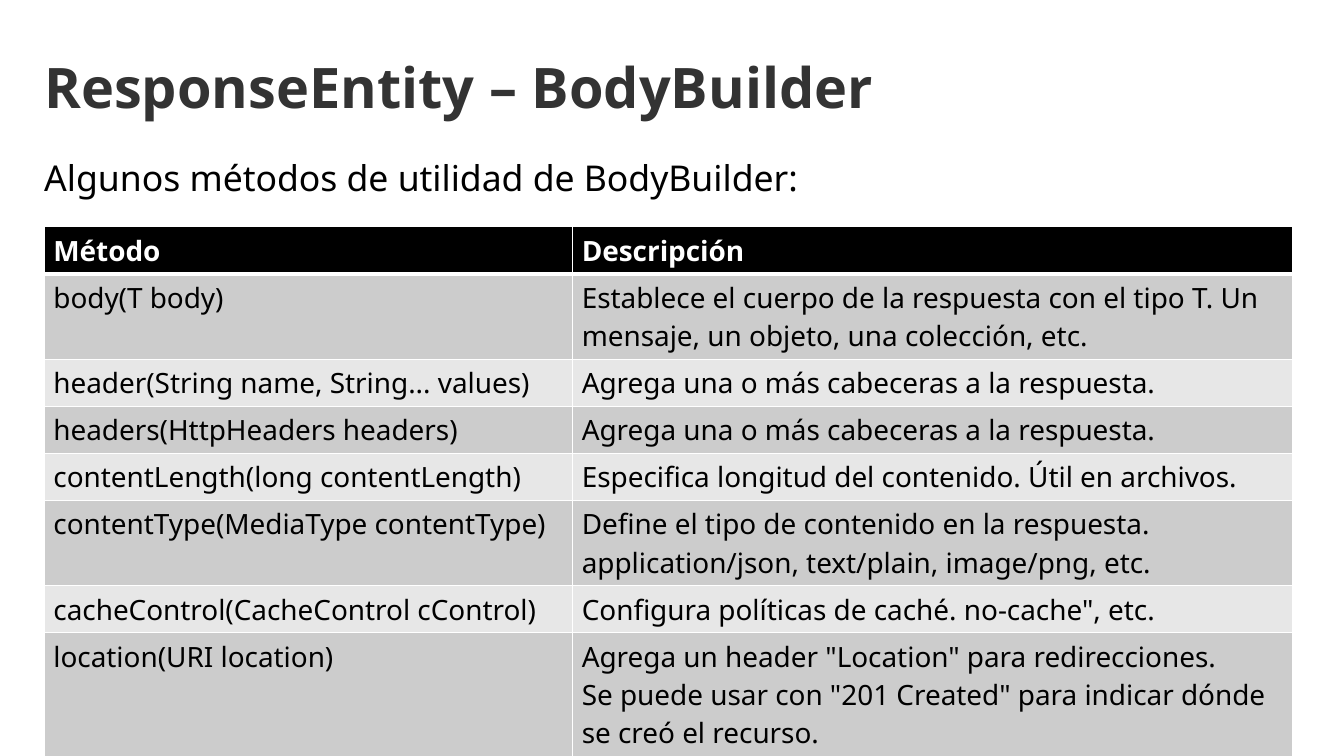
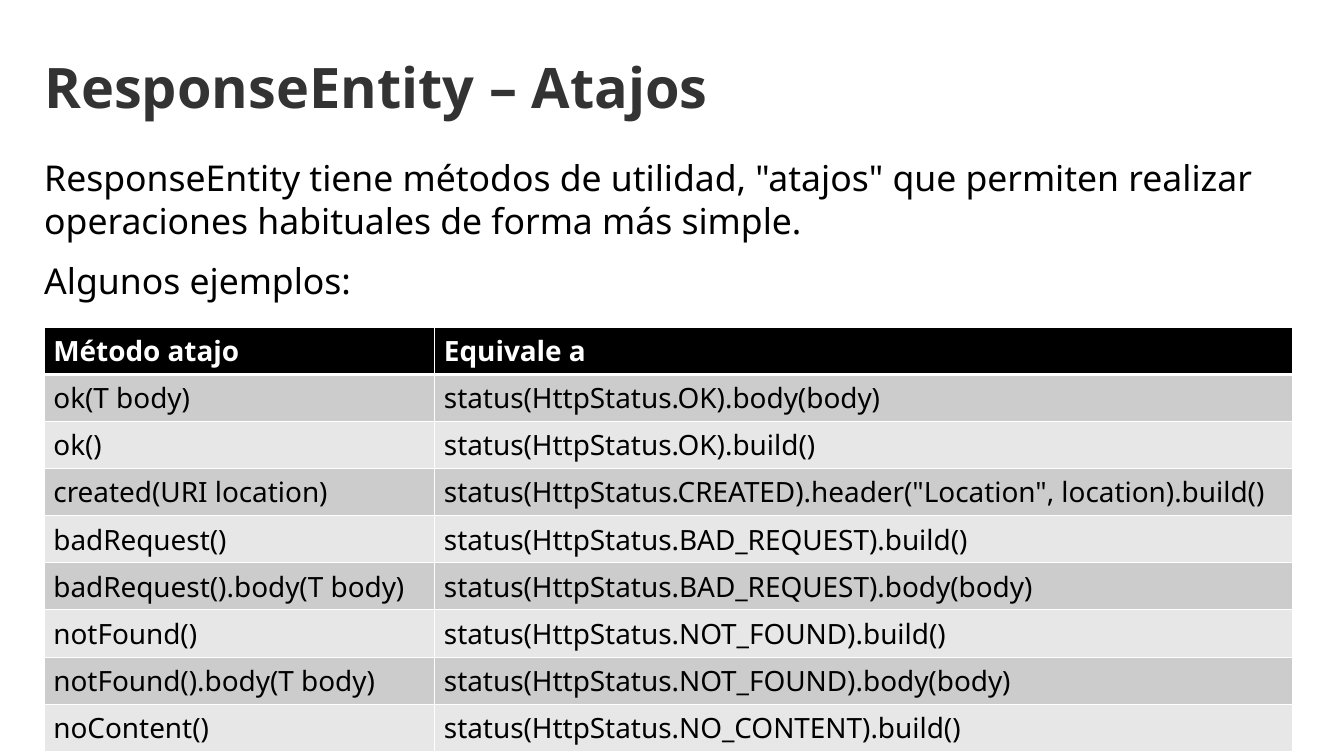
"""Builds two slides on ResponseEntity: the BodyBuilder methods and the shortcuts."""
import dataclasses

import lxml.etree
import pptx
import pptx.dml.color
import pptx.enum.text
import pptx.oxml.ns
import pptx.util

Cm = pptx.util.Cm
Pt = pptx.util.Pt


@dataclasses.dataclass(frozen=True)
class Theme:
    font: str = "Noto Sans"
    background: str = "FFFFFF"
    title_color: str = "333333"
    text_color: str = "000000"
    header_fill: str = "000000"
    header_color: str = "FFFFFF"
    bands: tuple = ("CCCCCC", "E7E7E7")
    border_color: str = "FFFFFF"
    thin_border: float = 1
    thick_border: float = 3
    title_size: float = 44
    body_size: float = 28
    table_size: float = 22
    body_space_after: float = 14.1


def rgb(color):
    return pptx.dml.color.RGBColor.from_string(color)


def write(frame, text, *, font, size, color, bold=False, space_after=0):
    for index, line in enumerate(text.split("\n")):
        para = frame.paragraphs[0] if index == 0 else frame.add_paragraph()
        para.space_after = Pt(space_after)
        span = para.add_run()
        span.text = line
        span.font.name = font
        span.font.size = Pt(size)
        span.font.bold = bold
        span.font.color.rgb = rgb(color)


def add_borders(cell, color, widths):
    properties = cell._tc.get_or_add_tcPr()
    for position, (side, width) in enumerate(widths.items()):
        line = lxml.etree.Element(pptx.oxml.ns.qn(f"a:ln{side}"), w=str(Pt(width)))
        fill = lxml.etree.SubElement(line, pptx.oxml.ns.qn("a:solidFill"))
        lxml.etree.SubElement(fill, pptx.oxml.ns.qn("a:srgbClr"), val=color)
        properties.insert(position, line)


class Deck:
    left, width = 1.23, 34.67
    title_top, title_height = 0.43, 3.91
    body_top, body_height = 4.34, 15.52
    row_padding, line_height = 0.25, 1.06

    def __init__(self, theme):
        self.theme = theme
        self.deck = pptx.Presentation()
        self.deck.slide_width = Cm(37.34)
        self.deck.slide_height = Cm(21.01)
        self.page = None

    def add_page(self, title, body):
        theme = self.theme
        self.page = self.deck.slides.add_slide(self.deck.slide_layouts[6])
        self.page.background.fill.solid()
        self.page.background.fill.fore_color.rgb = rgb(theme.background)
        self.add_text(title, self.title_top, self.title_height,
                      anchor=pptx.enum.text.MSO_ANCHOR.MIDDLE,
                      size=theme.title_size, color=theme.title_color, bold=True)
        self.add_text(body, self.body_top, self.body_height,
                      size=theme.body_size, color=theme.text_color,
                      space_after=theme.body_space_after)

    def add_text(self, text, top, height, anchor=pptx.enum.text.MSO_ANCHOR.TOP, **style):
        box = self.page.shapes.add_textbox(Cm(self.left), Cm(top), Cm(self.width), Cm(height))
        frame = box.text_frame
        frame.word_wrap = True
        frame.vertical_anchor = anchor
        frame.margin_left = frame.margin_right = frame.margin_top = frame.margin_bottom = 0
        write(frame, text, font=self.theme.font, **style)

    def add_table(self, top, first_width, rows, line_counts):
        heights = [self.row_padding + self.line_height * count for count in line_counts]
        table = self.page.shapes.add_table(
            len(rows), 2, Cm(self.left), Cm(top), Cm(self.width), Cm(sum(heights))).table
        table.horz_banding = False
        table.columns[0].width = Cm(first_width)
        table.columns[1].width = Cm(self.width - first_width)
        for row, (texts, height) in enumerate(zip(rows, heights)):
            table.rows[row].height = Cm(height)
            for column, text in enumerate(texts):
                self.fill_cell(table.cell(row, column), text, row)

    def fill_cell(self, cell, text, row):
        theme = self.theme
        header = row == 0
        cell.fill.solid()
        cell.fill.fore_color.rgb = rgb(theme.header_fill if header else theme.bands[(row - 1) % 2])
        widths = dict.fromkeys("LRTB", theme.thin_border)
        if header:
            widths["B"] = theme.thick_border
        elif row == 1:
            widths["T"] = theme.thick_border
        add_borders(cell, theme.border_color, widths)
        write(cell.text_frame, text, font=theme.font, size=theme.table_size, bold=header,
              color=theme.header_color if header else theme.text_color)


BUILDER_METHODS = [
    ("Método", "Descripción"),
    ("body(T body)",
     "Establece el cuerpo de la respuesta con el tipo T. Un mensaje, un objeto, una colección, etc."),
    ("header(String name, String... values)", "Agrega una o más cabeceras a la respuesta."),
    ("headers(HttpHeaders headers)", "Agrega una o más cabeceras a la respuesta."),
    ("contentLength(long contentLength)", "Especifica longitud del contenido. Útil en archivos."),
    ("contentType(MediaType contentType)",
     "Define el tipo de contenido en la respuesta. application/json, text/plain, image/png, etc."),
    ("cacheControl(CacheControl cControl)", 'Configura políticas de caché. no-cache", etc.'),
    ("location(URI location)",
     'Agrega un header "Location" para redirecciones.\n'
     'Se puede usar con "201 Created" para indicar dónde se creó el recurso.'),
]
BUILDER_LINE_COUNTS = [1, 2, 1, 1, 1, 2, 1, 3]

SHORTCUTS = [
    ("Método atajo", "Equivale a"),
    ("ok(T body)", "status(HttpStatus.OK).body(body)"),
    ("ok()", "status(HttpStatus.OK).build()"),
    ("created(URI location)", 'status(HttpStatus.CREATED).header("Location", location).build()'),
    ("badRequest()", "status(HttpStatus.BAD_REQUEST).build()"),
    ("badRequest().body(T body)", "status(HttpStatus.BAD_REQUEST).body(body)"),
    ("notFound()", "status(HttpStatus.NOT_FOUND).build()"),
    ("notFound().body(T body)", "status(HttpStatus.NOT_FOUND).body(body)"),
    ("noContent()", "status(HttpStatus.NO_CONTENT).build()"),
]


def main():
    slides = Deck(Theme())
    slides.add_page("ResponseEntity – BodyBuilder", "Algunos métodos de utilidad de BodyBuilder:")
    slides.add_table(6.3, 14.68, BUILDER_METHODS, BUILDER_LINE_COUNTS)
    slides.add_page(
        "ResponseEntity – Atajos",
        'ResponseEntity tiene métodos de utilidad, "atajos" que permiten realizar '
        "operaciones habituales de forma más simple.\nAlgunos ejemplos:")
    slides.add_table(9.09, 10.85, SHORTCUTS, [1] * len(SHORTCUTS))
    slides.deck.save("out.pptx")


if __name__ == "__main__":
    main()
